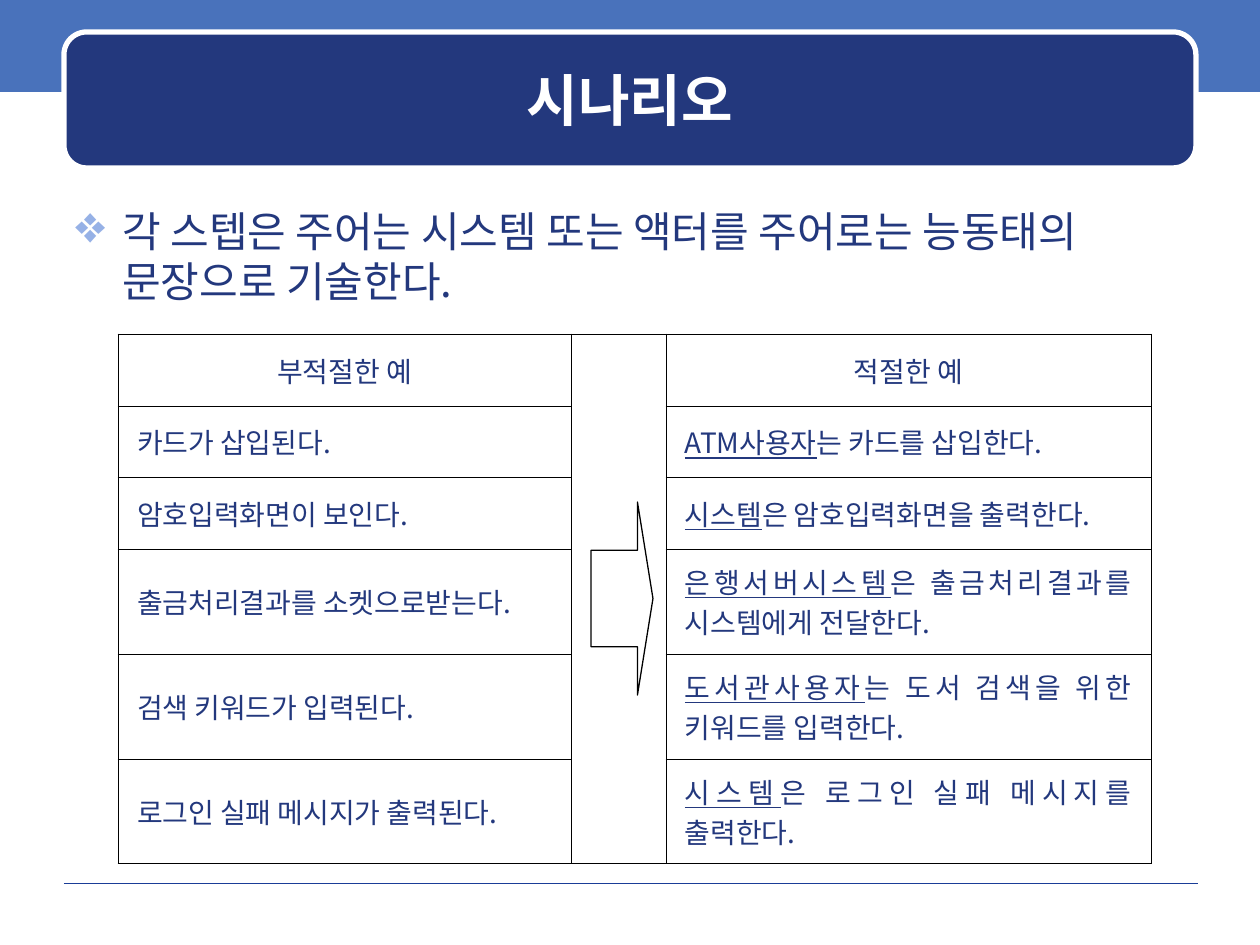
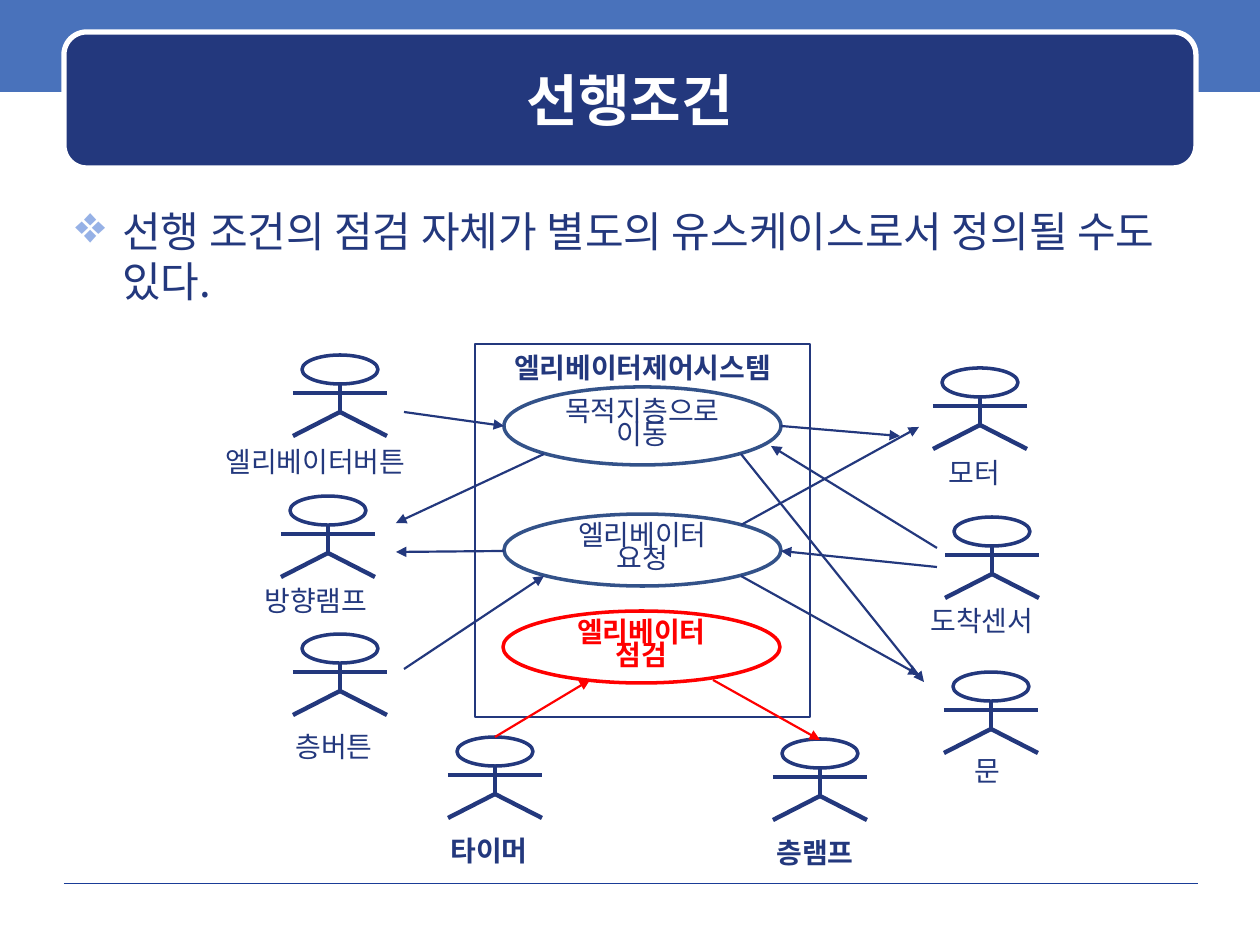
from lxml import etree
from pptx import Presentation
from pptx.dml.color import RGBColor
from pptx.enum.shapes import MSO_CONNECTOR, MSO_SHAPE as SHAPE
from pptx.enum.text import MSO_ANCHOR as ANCHOR, MSO_AUTO_SIZE as AUTO_SIZE, PP_ALIGN as ALIGN
from pptx.oxml.ns import qn
from pptx.util import Pt

PX = 914400 / 126
FONT = "Noto Sans CJK KR"
COLORS = {
    "band": "4972BB", "navy": "23387D", "rule": "1A3D97", "bullet": "96B1E6",
    "oval": "335289", "red": "FF0000", "white": "FFFFFF", "black": "000000",
}
RGB = {name: RGBColor.from_string(value) for name, value in COLORS.items()}


def style_text(frame, size, color="navy", bold=False, align=ALIGN.LEFT, spacing=None):
    for paragraph in frame.paragraphs:
        paragraph.alignment = align
        if spacing:
            paragraph.line_spacing = spacing
        for run in paragraph.runs:
            run.font.size = Pt(size)
            run.font.bold = bold
            run.font.name = FONT
            run.font.color.rgb = RGB[color]
            east_asian = etree.SubElement(run.font._element, qn("a:ea"))
            east_asian.set("typeface", FONT)


def draw_line(slide, ends, color, width, arrow=False):
    line = slide.shapes.add_connector(MSO_CONNECTOR.STRAIGHT, *[round(v * PX) for v in ends])
    line.line.color.rgb = RGB[color]
    line.line.width = Pt(width)
    if arrow:
        etree.SubElement(line.line._get_or_add_ln(), qn("a:tailEnd"), type="triangle")
    etree.SubElement(line._element.spPr, qn("a:effectLst"))


prs = Presentation()
prs.slide_width = round(1260 * PX)
prs.slide_height = round(945 * PX)

# Shared band, rule, title and bullet sentence
topics = [
    ("시나리오", "각 스텝은 주어는 시스템 또는 액터를 주어로는 능동태의 문장으로 기술한다."),
    ("선행조건", "선행 조건의 점검 자체가 별도의 유스케이스로서 정의될 수도 있다."),
]
slides = []
for heading, sentence in topics:
    slide = prs.slides.add_slide(prs.slide_layouts[6])
    slides.append(slide)

    band = slide.shapes.add_shape(SHAPE.RECTANGLE, *[round(v * PX) for v in (0, -4, 1260, 96)])
    band.shadow.inherit = False
    band.fill.solid()
    band.fill.fore_color.rgb = RGB["band"]
    band.line.fill.background()
    draw_line(slide, (64, 883, 1198, 883), "rule", 0.25)

    plate = slide.shapes.add_shape(
        SHAPE.ROUNDED_RECTANGLE, *[round(v * PX) for v in (64, 32, 1132, 136)])
    plate.shadow.inherit = False
    plate.fill.solid()
    plate.fill.fore_color.rgb = RGB["navy"]
    plate.line.color.rgb = RGB["white"]
    plate.line.width = Pt(3)

    title = slide.shapes.add_textbox(*[round(v * PX) for v in (75, 44, 1110, 111)]).text_frame
    title.word_wrap = True
    title.vertical_anchor = ANCHOR.MIDDLE
    title.text = heading
    style_text(title, 32, "white", True, ALIGN.CENTER)

    body = slide.shapes.add_textbox(*[round(v * PX) for v in (63, 199, 1134, 672)]).text_frame
    body.word_wrap = True
    body.text = sentence
    bullet = body.paragraphs[0]._p.get_or_add_pPr()
    bullet.set("marL", str(round(47 * PX)))
    bullet.set("indent", str(round(-47 * PX)))
    bullet_color = etree.SubElement(bullet, qn("a:buClr"))
    etree.SubElement(bullet_color, qn("a:srgbClr"), val=COLORS["bullet"])
    etree.SubElement(bullet, qn("a:buSzPct"), val="125000")
    etree.SubElement(bullet, qn("a:buChar"), char="❖")
    style_text(body, 24)

scenario, precondition = slides

# Scenario: poor and proper wording; the subject is underlined
examples = [
    ("부적절한 예", "", "적절한 예"),
    ("카드가 삽입된다.", "ATM사용자", "는 카드를 삽입한다."),
    ("암호입력화면이 보인다.", "시스템", "은 암호입력화면을 출력한다."),
    ("출금처리결과를 소켓으로받는다.", "은행서버시스템", "은 출금처리결과를 시스템에게 전달한다."),
    ("검색 키워드가 입력된다.", "도서관사용자", "는 도서 검색을 위한 키워드를 입력한다."),
    ("로그인 실패 메시지가 출력된다.", "시스템", "은 로그인 실패 메시지를 출력한다."),
]
column_widths = [453, 95, 485]
row_heights = [72, 71, 72, 105, 105, 105]
table = scenario.shapes.add_table(
    6, 3, *[round(v * PX) for v in (118, 334, sum(column_widths), sum(row_heights))]).table
table.first_row = False
table.horz_banding = False
for column, width in zip(table.columns, column_widths):
    column.width = round(width * PX)
for row, height in zip(table.rows, row_heights):
    row.height = round(height * PX)

for r, (poor, subject, rest) in enumerate(examples):
    align = ALIGN.JUSTIFY if r else ALIGN.CENTER
    table.cell(r, 0).text_frame.text = poor
    proper = table.cell(r, 2).text_frame.paragraphs[0]
    if subject:
        subject_run = proper.add_run()
        subject_run.text = subject
        subject_run.font.underline = True
    proper.add_run().text = rest
    for c in range(3):
        cell = table.cell(r, c)
        cell.vertical_anchor = ANCHOR.MIDDLE
        cell.margin_left = cell.margin_right = round(19 * PX)
        cell.margin_top = cell.margin_bottom = round(6 * PX)
        style_text(cell.text_frame, 16, align=align)
        borders = cell._tc.get_or_add_tcPr()
        for side in ("a:lnL", "a:lnR", "a:lnT", "a:lnB"):
            border = etree.SubElement(borders, qn(side), w=str(Pt(0.45)))
            border_fill = etree.SubElement(border, qn("a:solidFill"))
            etree.SubElement(border_fill, qn("a:srgbClr"), val=COLORS["black"])
        cell.fill.background()
table.cell(0, 1).merge(table.cell(5, 1))

improvement = scenario.shapes.add_shape(
    SHAPE.RIGHT_ARROW, *[round(v * PX) for v in (591, 502, 62, 193)])
improvement.adjustments[1] = 0.25
improvement.shadow.inherit = False
improvement.fill.background()
improvement.line.color.rgb = RGB["black"]
improvement.line.width = Pt(0.75)

# Precondition: system boundary, use cases and the heads of the actors
actors = [
    (302, 355, "엘리베이터버튼", 213, 438, False),
    (942, 368, "모터", 936, 449, False),
    (954, 517, "도착센서", 918, 597, False),
    (953, 672, "문", 962, 747, False),
    (302, 634, "층버튼", 283, 723, False),
    (290, 496, "방향램프", 252, 577, False),
    (457, 737, "타이머", 438, 827, True),
    (782, 739, "층램프", 764, 829, True),
]
outlines = [
    (SHAPE.RECTANGLE, (475, 344, 335, 373), "navy", 1.25, "엘리베이터제어시스템", "navy", True),
    (SHAPE.OVAL, (504, 387, 277, 78), "oval", 2, "목적지층으로\n이동", "navy", False),
    (SHAPE.OVAL, (504, 514, 277, 72), "oval", 2, "엘리베이터\n요청", "navy", False),
    (SHAPE.OVAL, (503, 611, 277, 72), "red", 2, "엘리베이터\n점검", "red", True),
]
outlines += [(SHAPE.OVAL, (x, y, 76, 29), "navy", 2, "", "navy", False)
             for x, y, *_ in actors]
for kind, box, color, width, words, text_color, bold in outlines:
    outline = precondition.shapes.add_shape(kind, *[round(v * PX) for v in box])
    outline.shadow.inherit = False
    outline.fill.background()
    outline.line.color.rgb = RGB[color]
    outline.line.width = Pt(width)
    if words:
        is_oval = kind == SHAPE.OVAL
        frame = outline.text_frame
        frame.text = words
        frame.vertical_anchor = ANCHOR.MIDDLE if is_oval else ANCHOR.TOP
        frame.margin_left = frame.margin_right = 0
        style_text(frame, 16, text_color, bold, ALIGN.CENTER, 0.7 if is_oval else None)

# Actor limbs, measured from the head, and actor names
limbs = [(38, 29, 38, 57), (-9, 38, 85, 38), (38, 57, -9, 81), (38, 57, 85, 81)]
for x, y, name, name_x, name_y, bold in actors:
    for x1, y1, x2, y2 in limbs:
        draw_line(precondition, (x + x1, y + y1, x + x2, y + y2), "navy", 2.5)
    name_box = (name_x, name_y, 26 * len(name) + 28, 47)
    label = precondition.shapes.add_textbox(*[round(v * PX) for v in name_box]).text_frame
    label.word_wrap = False
    label.auto_size = AUTO_SIZE.SHAPE_TO_FIT_TEXT
    label.text = name
    style_text(label, 16, bold=bold)

# Arrows between actors and use cases
flows = {
    "navy": [
        (404, 412, 504, 426), (404, 669, 544, 576), (781, 426, 900, 436),
        (741, 525, 919, 427), (741, 454, 924, 682), (937, 548, 771, 446),
        (741, 576, 919, 675), (937, 567, 781, 551), (504, 551, 396, 552),
        (544, 454, 396, 523),
    ],
    "red": [(495, 737, 590, 680), (713, 680, 820, 740)],
}
for color, arrows in flows.items():
    for ends in arrows:
        draw_line(precondition, ends, color, 1.25, arrow=True)

prs.save("out.pptx")
